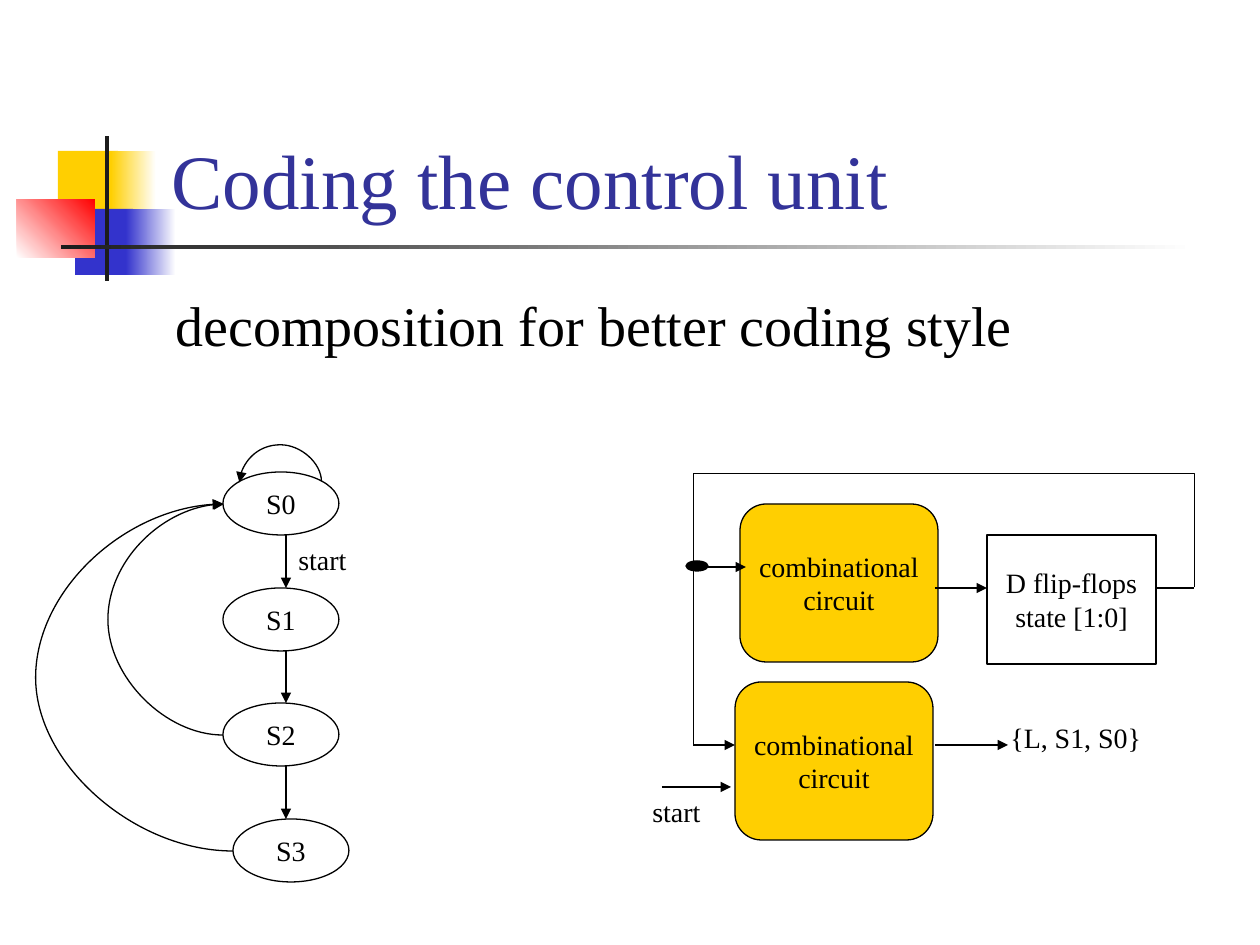
import pptx
import pptx.util
import pptx.dml.color
import pptx.enum.shapes
import pptx.enum.text
import pptx.oxml.ns
from lxml import etree

PX = 914400 / 126
SHAPE = pptx.enum.shapes.MSO_SHAPE
CONNECTOR = pptx.enum.shapes.MSO_CONNECTOR
ALIGN = pptx.enum.text.PP_ALIGN
ANCHOR = pptx.enum.text.MSO_ANCHOR
BLACK, YELLOW, BLUE, DARK = "000000", "FFCF01", "3333CC", "1C1C1C"


def px(*lengths):
    return [pptx.util.Emu(round(length * PX)) for length in lengths]


def color(value):
    return pptx.dml.color.RGBColor.from_string(value)


def qn(tag):
    return pptx.oxml.ns.qn(tag)


def write(box, text, size=16, ink=BLACK, align=ALIGN.LEFT, anchor=ANCHOR.TOP, wrap=False):
    frame = box.text_frame
    frame.text = text
    frame.word_wrap = wrap
    frame.vertical_anchor = anchor
    frame.auto_size = pptx.enum.text.MSO_AUTO_SIZE.NONE
    for para in frame.paragraphs:
        para.alignment = align
        para.font.name = "Times New Roman"
        para.font.size = pptx.util.Pt(size)
        para.font.color.rgb = color(ink)


deck = pptx.Presentation()
deck.slide_width, deck.slide_height = px(1260, 945)
page = deck.slides.add_slide(deck.slide_layouts[5])
shapes = page.shapes

# Corner ornament and rule: place, colour, end colour, gradient angle
ornament = [
    ((58, 151, 60, 65), YELLOW, None, 0),
    ((111, 151, 45, 65), YELLOW, "FFFFFF", 0),
    ((75, 209, 58, 66), BLUE, None, 0),
    ((126, 209, 50, 66), BLUE, "FFFFFF", 0),
    ((17, 199, 78, 59), "FFFFFF", "FF0000", 45),
    ((105, 136, 4, 145), DARK, None, 0),
    ((61, 245, 1134, 4), DARK, "FFFFFF", 0),
]
for place, start, end, angle in ornament:
    block = shapes.add_shape(SHAPE.RECTANGLE, *px(*place))
    block.shadow.inherit = False
    block.line.fill.background()
    if end:
        block.fill.gradient()
        block.fill.gradient_angle = angle
        for stop, value in zip(block.fill.gradient_stops, (start, end)):
            stop.color.rgb = color(value)
        block.fill.gradient_stops[0].position = 0
        block.fill.gradient_stops[1].position = 1
    else:
        block.fill.solid()
        block.fill.fore_color.rgb = color(start)

# Title
title = shapes.title
title.left, title.top, title.width, title.height = px(159, 29, 1074, 202)
write(title, "Coding the control unit", size=44, ink="333399", anchor=ANCHOR.BOTTOM, wrap=True)

# Bullet line
body = shapes.add_textbox(*px(163, 284, 1071, 105))
properties = body.text_frame.paragraphs[0]._p.get_or_add_pPr()
properties.set("marL", str(px(48)[0]))
properties.set("indent", str(px(-48)[0]))
bullet_color = etree.SubElement(properties, qn("a:buClr"))
etree.SubElement(bullet_color, qn("a:srgbClr")).set("val", BLUE)
etree.SubElement(properties, qn("a:buSzPct")).set("val", "60000")
etree.SubElement(properties, qn("a:buChar")).set("char", "■")
write(body, "decomposition for better coding style", size=32, wrap=True)

# States and circuit blocks: kind, place, fill, text
nodes = [
    (SHAPE.OVAL, (223, 472, 116, 63), None, "S0"),
    (SHAPE.OVAL, (223, 588, 116, 63), None, "S1"),
    (SHAPE.OVAL, (223, 703, 116, 63), None, "S2"),
    (SHAPE.OVAL, (233, 819, 116, 63), None, "S3"),
    (SHAPE.RECTANGLE, (987, 535, 169, 129), None, "D flip-flops\nstate [1:0]"),
    (SHAPE.ROUNDED_RECTANGLE, (740, 504, 198, 158), YELLOW, "combinational\ncircuit"),
    (SHAPE.ROUNDED_RECTANGLE, (735, 682, 198, 158), YELLOW, "combinational\ncircuit"),
    (SHAPE.OVAL, (686, 561, 22, 10), BLACK, ""),
]
for kind, place, fill, text in nodes:
    node = shapes.add_shape(kind, *px(*place))
    node.shadow.inherit = False
    if fill:
        node.fill.solid()
        node.fill.fore_color.rgb = color(fill)
    else:
        node.fill.background()
    node.line.color.rgb = color(BLACK)
    node.line.width = pptx.util.Pt(0.75)
    if text:
        write(node, text, align=ALIGN.CENTER, anchor=ANCHOR.MIDDLE)

# Signal labels
for place, text in [
    ((286, 536, 74, 46), "start"),
    ((640, 788, 74, 46), "start"),
    ((998, 714, 156, 46), "{L, S1, S0}"),
]:
    write(shapes.add_textbox(*px(*place)), text)

# Connectors: kind, ends, arrowhead, rotation, flips, bend as a share of the width
connectors = [(CONNECTOR.STRAIGHT, ends, arrow, 0, "", None) for ends, arrow in [
    ((286, 535, 286, 588), True),
    ((286, 651, 286, 703), True),
    ((286, 766, 286, 819), True),
    ((1156, 588, 1194, 588), False),
    ((935, 588, 987, 588), True),
    ((662, 787, 731, 787), True),
    ((935, 745, 1008, 745), True),
    ((693, 567, 746, 567), True),
    ((693, 745, 735, 745), True),
]] + [
    (CONNECTOR.CURVE, (280, 441, 281, 523), True, 270, "HV", -37),
    (CONNECTOR.CURVE, (223, 504, 224, 735), True, 180, "H", -116),
    (CONNECTOR.CURVE, (223, 504, 233, 851), True, 180, "", 19.7),
    (CONNECTOR.ELBOW, (865, 416, 1023, 917), False, 90, "", -0.72),
]
for kind, ends, arrow, rotation, flips, bend in connectors:
    link = shapes.add_connector(kind, *px(*ends))
    link.line.color.rgb = color(BLACK)
    link.line.width = pptx.util.Pt(0.75)
    properties = link._element.spPr
    if arrow:
        etree.SubElement(properties.find(qn("a:ln")), qn("a:tailEnd")).set("type", "triangle")
    etree.SubElement(properties, qn("a:effectLst"))
    if bend is not None:
        frame = properties.find(qn("a:xfrm"))
        frame.set("rot", str(rotation * 60000))
        for axis in flips:
            frame.set("flip" + axis, "1")
        geometry = properties.find(qn("a:prstGeom"))
        guides = geometry.find(qn("a:avLst"))
        if guides is None:
            guides = etree.SubElement(geometry, qn("a:avLst"))
        guide = etree.SubElement(guides, qn("a:gd"))
        guide.set("name", "adj1")
        guide.set("fmla", f"val {round(bend * 100000)}")

deck.save("out.pptx")
